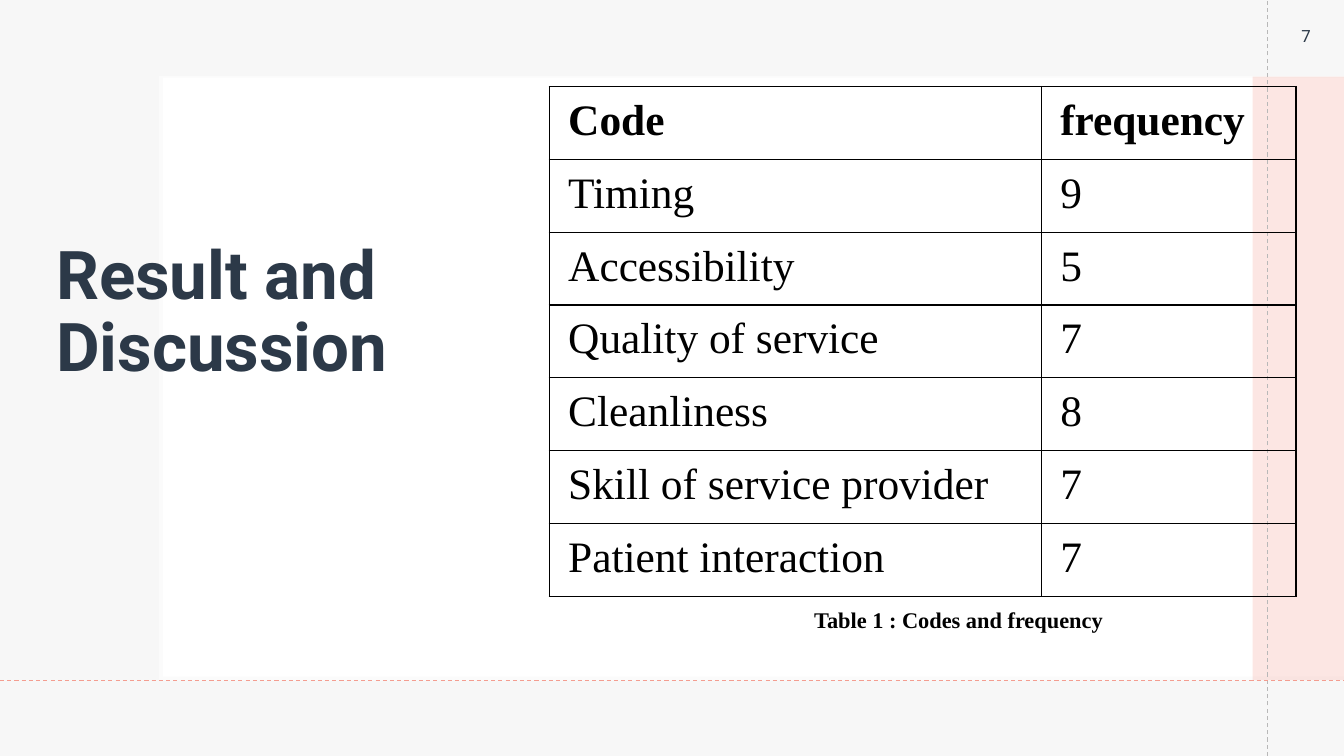
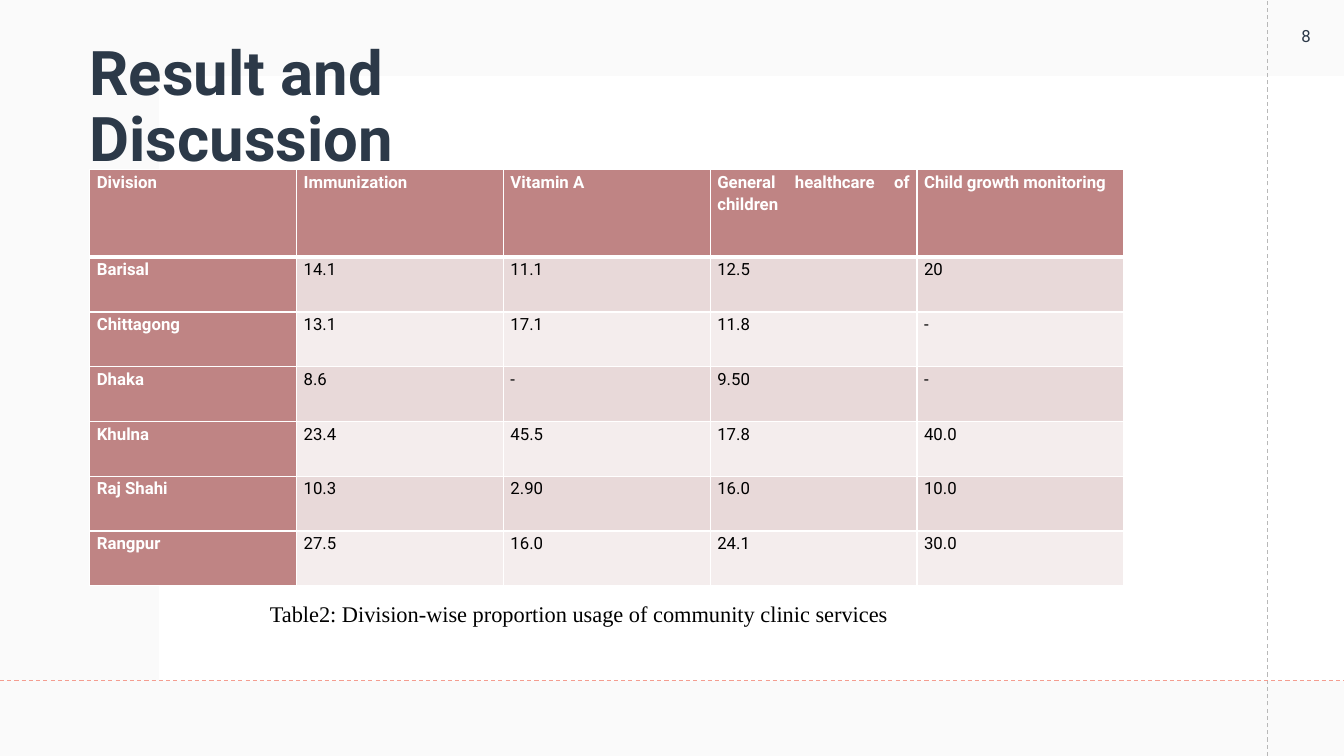
from dataclasses import dataclass

from lxml import etree
from pptx import Presentation
from pptx import util as u
from pptx.dml.color import RGBColor
from pptx.enum import dml, shapes, text
from pptx.oxml import ns

COLORS = {
    "ink": "2C3948", "black": "000000", "white": "FFFFFF", "wash": "F4F4F4",
    "coral": "F49D90", "guide": "B8B8B8", "rose": "BF8484",
    "band_dark": "E8D9D9", "band_light": "F4EDED",
}
SANS, SERIF = "Roboto", "Times New Roman"
LEFT, CENTER, JUSTIFY = (
    text.PP_ALIGN.LEFT, text.PP_ALIGN.CENTER, text.PP_ALIGN.JUSTIFY)
TOP, MIDDLE, BOTTOM = (
    text.MSO_ANCHOR.TOP, text.MSO_ANCHOR.MIDDLE, text.MSO_ANCHOR.BOTTOM)
TITLE = "Result and Discussion"

CODES = [
    ("Code", "frequency"),
    ("Timing", "9"),
    ("Accessibility", "5"),
    ("Quality of service", "7"),
    ("Cleanliness", "8"),
    ("Skill of service provider", "7"),
    ("Patient interaction", "7"),
]
DIVISIONS = [
    ("Division", "Immunization", "Vitamin A",
     "General healthcare of children", "Child growth monitoring"),
    ("Barisal", "14.1", "11.1", "12.5", "20"),
    ("Chittagong", "13.1", "17.1", "11.8", "-"),
    ("Dhaka", "8.6", "-", "9.50", "-"),
    ("Khulna", "23.4", "45.5", "17.8", "40.0"),
    ("Raj Shahi", "10.3", "2.90", "16.0", "10.0"),
    ("Rangpur", "27.5", "16.0", "24.1", "30.0"),
]


@dataclass
class Box:
    """A rectangle in centimetres."""

    left: float
    top: float
    width: float
    height: float

    def lengths(self):
        """Return the four sides as lengths."""
        return [u.Cm(side) for side in
                (self.left, self.top, self.width, self.height)]


PAGE = Box(0, 0, 33.87, 19.05)
PANEL = Box(4.01, 1.91, 29.86, 15.24)


def rgb(name):
    """Return a named colour."""
    return RGBColor.from_string(COLORS[name])


def style(para, size, font, color, bold=False, align=LEFT, spacing=None, after=None):
    """Set the font and spacing of a paragraph."""
    para.font.size = u.Pt(size)
    para.font.name = font
    para.font.bold = bold
    para.font.color.rgb = rgb(color)
    para.alignment = align
    if spacing:
        para.line_spacing = spacing
    if after:
        para.space_after = u.Pt(after)


def add_block(page, box, color, opacity=100):
    """Add a plain filled rectangle."""
    block = page.shapes.add_shape(shapes.MSO_SHAPE.RECTANGLE, *box.lengths())
    block.shadow.inherit = False
    block.line.fill.background()
    block.fill.solid()
    block.fill.fore_color.rgb = rgb(color)
    if opacity < 100:
        tint = block.fill._xPr.find(".//" + ns.qn("a:srgbClr"))
        etree.SubElement(tint, ns.qn("a:alpha"), val=str(opacity * 1000))


def add_guide(page, start, end, color):
    """Add a thin dashed line."""
    guide = page.shapes.add_connector(
        shapes.MSO_CONNECTOR.STRAIGHT, *(u.Cm(place) for place in start + end))
    guide.line.color.rgb = rgb(color)
    guide.line.width = u.Pt(0.75)
    guide.line.dash_style = dml.MSO_LINE.DASH
    etree.SubElement(guide._element.spPr, ns.qn("a:effectLst"))


def add_label(page, box, words, anchor=TOP, **looks):
    """Add one wrapped paragraph of text."""
    frame = page.shapes.add_textbox(*box.lengths()).text_frame
    frame.word_wrap = True
    frame.vertical_anchor = anchor
    para = frame.paragraphs[0]
    para.text = words
    style(para, **looks)


def add_title(page, box, size, anchor):
    """Add the slide title."""
    add_label(page, box, TITLE, anchor, size=size, font=SANS, color="ink",
              bold=True, spacing=0.9)


def add_caption(page, box, words, bold=False):
    """Add the caption below a table."""
    add_label(page, box, words, size=16, font=SERIF, color="black", bold=bold)


def add_backdrop(page, box, panel, opacity):
    """Add a pale wash over a box and a white panel on it."""
    add_block(page, box, "wash", opacity)
    add_block(page, panel, "white")


def add_frame(page, box, number):
    """Add the dashed guides and the page number of a box."""
    across, down = box.left + box.width, box.top + box.height
    column, row = across - 1.93, down - 1.9
    add_guide(page, (column, down), (column, box.top), "guide")
    add_guide(page, (box.left, row), (across, row), "coral")
    add_label(page, Box(across - 1.91, box.top - 0.05, 1.91, 1.91), str(number),
              MIDDLE, size=12, font=SANS, color="ink", align=CENTER)


def set_borders(cell, color, widths):
    """Draw the left, right, top and bottom borders of a cell."""
    properties = cell._tc.get_or_add_tcPr()
    for place, (side, width) in enumerate(zip("LRTB", widths)):
        edge = etree.Element(ns.qn("a:ln" + side), w=str(u.Pt(width)))
        fill = etree.SubElement(edge, ns.qn("a:solidFill"))
        etree.SubElement(fill, ns.qn("a:srgbClr"), val=COLORS[color])
        properties.insert(place, edge)


def add_grid(page, box, rows, widths, heights, margins, dress):
    """Add a table and dress each of its cells."""
    table = page.shapes.add_table(len(rows), len(widths), *box.lengths()).table
    table.first_row = table.horz_banding = False
    for column, width in zip(table.columns, widths):
        column.width = u.Cm(width)
    for line, height in zip(table.rows, heights):
        line.height = u.Cm(height)
    side, top = margins
    for r, values in enumerate(rows):
        for c, value in enumerate(values):
            cell = table.cell(r, c)
            cell.margin_left = cell.margin_right = u.Cm(side)
            cell.margin_top, cell.margin_bottom = u.Cm(top), 0
            para = cell.text_frame.paragraphs[0]
            para.text = value
            dress(cell, para, r, c)


def dress_code(cell, para, r, c):
    """Give a code cell black rules and serif text."""
    style(para, 31, SERIF, "black", r == 0, JUSTIFY, 1.15, 8)
    cell.fill.background()
    set_borders(cell, "black", (1, 1, 1, 1))


def dress_division(cell, para, r, c):
    """Give a division cell its band and white rules."""
    heading = r == 0 or c == 0
    style(para, 12, SANS, "white" if heading else "black", heading,
          JUSTIFY, 1.15, 8)
    band = "band_dark" if r % 2 else "band_light"
    cell.fill.solid()
    cell.fill.fore_color.rgb = rgb("rose" if heading else band)
    set_borders(cell, "white", (1, 1, 3 if r == 1 else 1, 3 if r == 0 else 1))


def add_codes(page, box):
    """Add the table of codes with its caption."""
    add_grid(page, box, CODES, (12.4, box.width - 12.4),
             [box.height / len(CODES)] * len(CODES), (0.48, 0.08), dress_code)
    add_caption(page, Box(box.left + 6.43, box.top + box.height + 0.13, 12.65, 0.94),
                "Table 1 : Codes and frequency", bold=True)


def add_divisions(page, box):
    """Add the table of divisions with its caption."""
    head = 2.21
    body = (box.height - head) / (len(DIVISIONS) - 1)
    add_grid(page, box, DIVISIONS, [box.width / 5] * 5,
             [head] + [body] * (len(DIVISIONS) - 1), (0.18, 0), dress_division)
    add_caption(page, Box(box.left + 4.29, box.top + box.height + 0.25, 21.77, 0.94),
                "Table2: Division-wise proportion usage of community clinic services")


def build_codes_page(page, box):
    """Build the slide with the table of codes."""
    add_backdrop(page, box, PANEL, 45)
    add_backdrop(page, box, Box(4.11, 1.96, 29.76, 15.09), 35)
    add_title(page, Box(1.17, 1.6, 10.92, 8.26), 48, BOTTOM)
    add_block(page, Box(31.57, 1.93, 2.3, 15.21), "coral", 25)
    add_frame(page, box, 7)
    add_codes(page, Box(13.84, 2.18, 18.82, 12.85))


def build_divisions_page(page, box):
    """Build the slide with the table of divisions."""
    add_backdrop(page, box, PANEL, 45)
    add_frame(page, box, 8)
    add_title(page, Box(2.01, 0.89, 14.66, 3.68), 44, MIDDLE)
    add_divisions(page, Box(2.26, 4.27, 26.06, 10.49))


def main():
    """Build and save the deck."""
    deck = Presentation()
    deck.slide_width, deck.slide_height = PAGE.lengths()[2:]
    for build in (build_codes_page, build_divisions_page):
        build(deck.slides.add_slide(deck.slide_layouts[6]), PAGE)
    deck.save("out.pptx")


if __name__ == "__main__":
    main()
